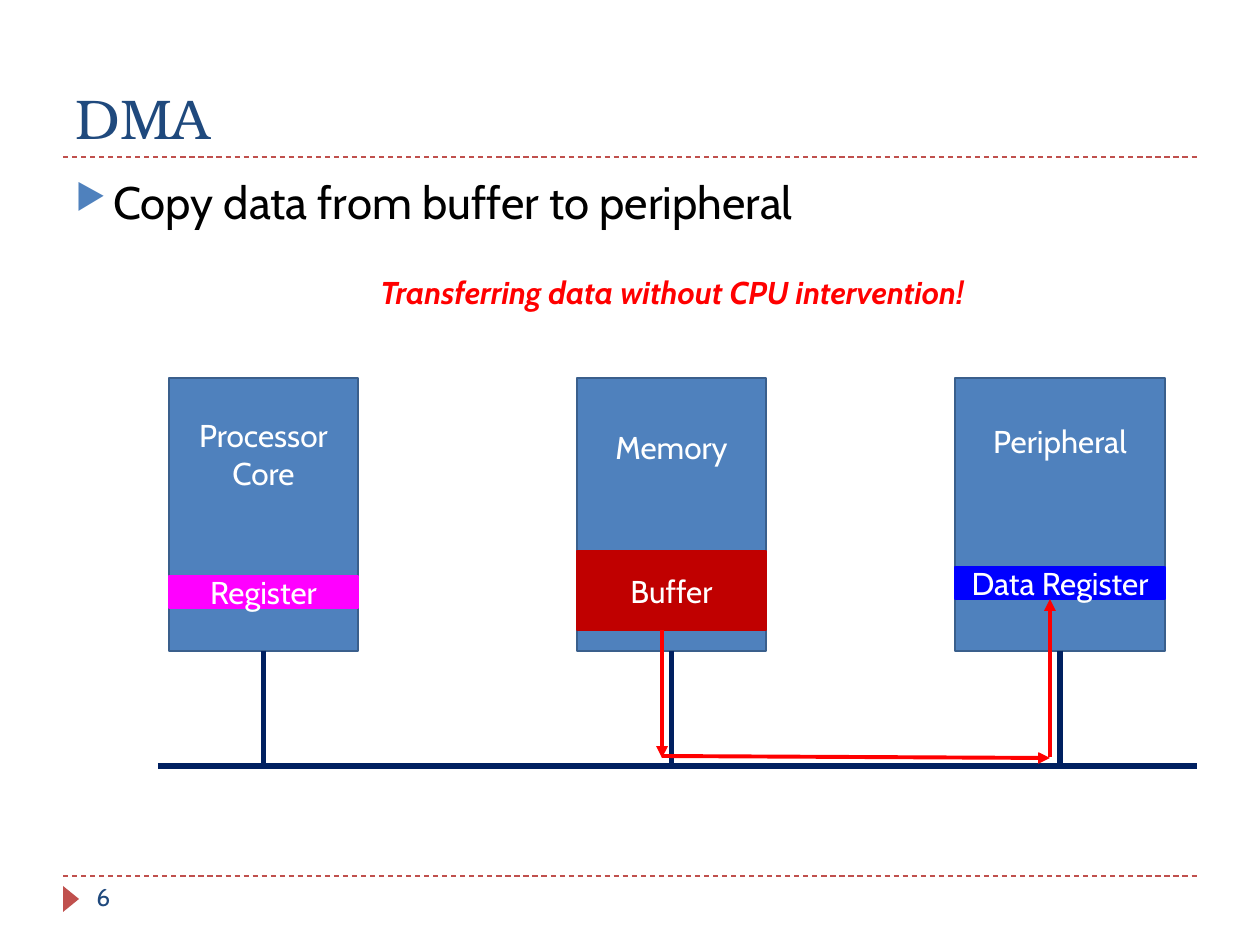
from lxml import etree
from pptx import Presentation
from pptx import util as u
from pptx.dml.color import RGBColor
from pptx.enum import dml, shapes, text
from pptx.oxml import parse_xml
from pptx.oxml.ns import nsdecls, qn

SCALE = 914400 / 126
NAVY = RGBColor(0x1F, 0x49, 0x7D)
BUS = RGBColor(0x00, 0x20, 0x60)
BLUE = RGBColor(0x4F, 0x81, 0xBD)
EDGE = RGBColor(0x3A, 0x5F, 0x8C)
BRICK = RGBColor(0xC0, 0x50, 0x4D)
MAGENTA = RGBColor(0xFF, 0x00, 0xFF)
DARK_RED = RGBColor(0xC0, 0x00, 0x00)
PURE_BLUE = RGBColor(0x00, 0x00, 0xFF)
RED = RGBColor(0xFF, 0x00, 0x00)
WHITE = RGBColor(0xFF, 0xFF, 0xFF)
BLACK = RGBColor(0x00, 0x00, 0x00)


def px(*values):
    return [u.Emu(round(value * SCALE)) for value in values]


def write(holder, words, color, size=18, font="Cabin", align=text.PP_ALIGN.CENTER,
          anchor=text.MSO_ANCHOR.MIDDLE, wrap=True, **extra):
    frame = holder.text_frame
    frame.text = words
    frame_format = {"word_wrap": wrap, "auto_size": text.MSO_AUTO_SIZE.NONE,
                    "vertical_anchor": anchor}
    for key, value in frame_format.items():
        setattr(frame, key, value)
    paragraph = frame.paragraphs[0]
    paragraph.alignment = align
    run_font = paragraph.runs[0].font
    for key, value in {"name": font, "size": u.Pt(size), **extra}.items():
        setattr(run_font, key, value)
    run_font.color.rgb = color
    return paragraph


deck = Presentation()
deck.slide_width, deck.slide_height = px(1260, 945)
slide = deck.slides.add_slide(deck.slide_layouts[5])
parts = slide.shapes
left_top = {"align": text.PP_ALIGN.LEFT, "anchor": text.MSO_ANCHOR.TOP}

title = parts.title
for key, value in zip(("left", "top", "width", "height"), px(63, 21, 1134, 136)):
    setattr(title, key, value)
write(title, "DMA", NAVY, 32, "TeX Gyre Bonum", text.PP_ALIGN.LEFT,
      text.MSO_ANCHOR.BOTTOM)

page_mark = parts.add_shape(shapes.MSO_SHAPE.ISOSCELES_TRIANGLE, *px(58, 891, 26, 16))
page_mark.rotation = 90
page_mark.shadow.inherit = False
page_mark.fill.solid()
page_mark.fill.fore_color.rgb = BRICK
page_mark.line.fill.background()

page_number = parts.add_textbox(*px(84, 876, 273, 50))
write(page_number, "6", NAVY, 14, **left_top)

summary = parts.add_textbox(*px(63, 168, 1134, 147))
point = write(summary, "Copy data from buffer to peripheral", BLACK, 26, **left_top)
point.space_before = u.Pt(6)
point_format = point._p.get_or_add_pPr()
indent = px(38)[0]
point_format.set("marL", str(indent))
point_format.set("indent", str(-indent))
for bullet in (f'<a:buClr {nsdecls("a")}><a:srgbClr val="{BLUE}"/></a:buClr>',
               f'<a:buSzPct {nsdecls("a")} val="76000"/>',
               f'<a:buChar {nsdecls("a")} char="▶"/>'):
    point_format.append(parse_xml(bullet))

block_top, block_height, bus_y = 378, 273, 766
units = [
    ("Processor Core", 169, 189, 377, 154, "Register", 576, 32, MAGENTA),
    ("Memory", 577, 189, 379, 135, "Buffer", 551, 79, DARK_RED),
    ("Peripheral", 955, 210, 378, 126, "Data Register", 567, 32, PURE_BLUE),
]
links = [(63, y, 1197, y, BRICK, 0.75, "dash", None) for y in (876, 157)]
links.append((158, bus_y, 1197, bus_y, BUS, 3, None, None))

for name, left, width, name_top, name_height, store, store_top, store_height, color in units:
    boxes = []
    for top, height, fill, edge in ((block_top, block_height, BLUE, EDGE),
                                    (store_top, store_height, color, color)):
        box = parts.add_shape(shapes.MSO_SHAPE.RECTANGLE, *px(left, top, width, height))
        box.shadow.inherit = False
        box.fill.solid()
        box.fill.fore_color.rgb = fill
        box.line.color.rgb = edge
        box.line.width = u.Pt(1.5)
        boxes.append(box)
    block, store_box = boxes
    write(store_box, store, WHITE)
    label = parts.add_textbox(*px(left, name_top, width, name_height))
    write(label, name, WHITE)
    center = left + width / 2
    links.append((center, block_top + block_height, center, bus_y, BUS, 3, None, block))

links += [
    (1050, 599, 1050, 757, RED, 2.25, "arrow", None),
    (1050, 758, 662, 756, RED, 2.25, "arrow", None),
    (662, 758, 662, 630, RED, 2.25, "arrow", None),
]
for x1, y1, x2, y2, color, weight, style, block in links:
    link = parts.add_connector(shapes.MSO_CONNECTOR.STRAIGHT, *px(x1, y1, x2, y2))
    link.line.color.rgb = color
    link.line.width = u.Pt(weight)
    etree.SubElement(link._element.spPr, qn("a:effectLst"))
    if style == "dash":
        link.line.dash_style = dml.MSO_LINE.DASH
    if style == "arrow":
        etree.SubElement(link.line._get_or_add_ln(), qn("a:headEnd"), type="triangle")
    if block is not None:
        link.begin_connect(block, 2)

remark = parts.add_textbox(*px(368, 267, 640, 50))
write(remark, "Transferring data without CPU intervention!", RED, wrap=False,
      bold=True, italic=True, **left_top)

deck.save("out.pptx")
